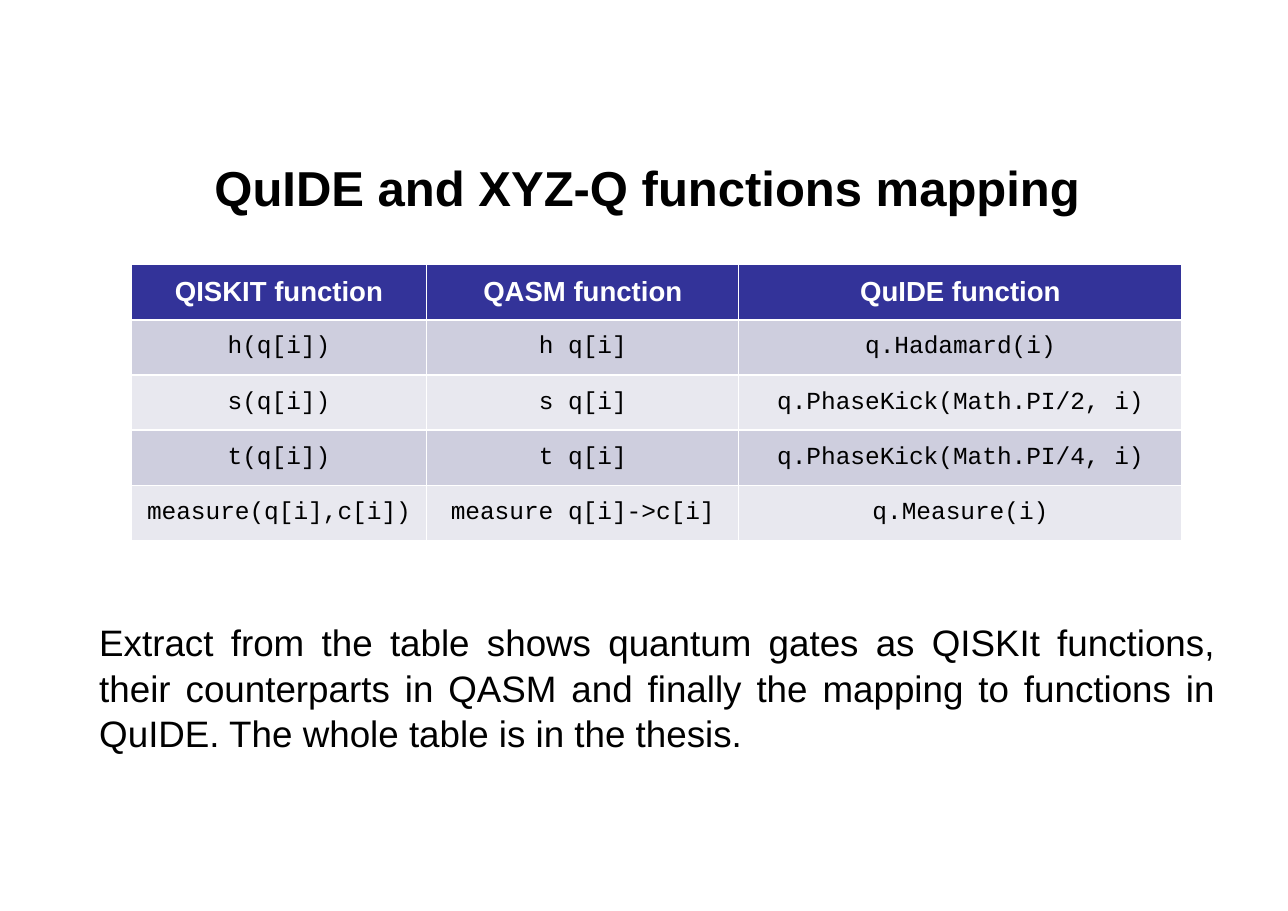
from lxml.etree import SubElement
from pptx import Presentation
from pptx.dml.color import RGBColor
from pptx.enum.text import MSO_ANCHOR, MSO_AUTO_SIZE, PP_ALIGN as Align
from pptx.oxml.ns import qn
from pptx.util import Inches, Pt

COLORS = {
    "text": "000000",
    "header_text": "FFFFFF",
    "header": "333399",
    "odd_row": "CECEDE",
    "even_row": "E8E8EF",
}


def write_text(text_frame, text, size=18, font="Arial", color="text",
               bold=False, align=Align.CENTER, line_spacing=1.0):
    paragraph = text_frame.paragraphs[0]
    paragraph.text = text
    paragraph.alignment = align
    paragraph.line_spacing = line_spacing
    paragraph.space_before = Pt(0)
    run_font = paragraph.runs[0].font
    run_font.name = font
    run_font.size = Pt(size)
    run_font.bold = bold
    run_font.color.rgb = RGBColor.from_string(COLORS[color])
    return paragraph


def place(shape, left, top, width, height, anchor):
    shape.left, shape.top = Inches(left), Inches(top)
    shape.width, shape.height = Inches(width), Inches(height)
    shape.text_frame.word_wrap = True
    shape.text_frame.auto_size = MSO_AUTO_SIZE.SHAPE_TO_FIT_TEXT
    shape.text_frame.vertical_anchor = anchor


presentation = Presentation()
presentation.slide_width = Inches(11.68)
presentation.slide_height = Inches(8.26)
slide = presentation.slides.add_slide(presentation.slide_layouts[1])

# Title
title = slide.shapes.title
place(title, 0.64, 1.36, 10.47, 0.64, MSO_ANCHOR.MIDDLE)
write_text(title.text_frame, "QuIDE and XYZ-Q functions mapping",
           size=32, bold=True, line_spacing=1.04)

# Function mapping table
rows = [
    ("QISKIT function", "QASM function", "QuIDE function"),
    ("h(q[i])", "h q[i]", "q.Hadamard(i)"),
    ("s(q[i])", "s q[i]", "q.PhaseKick(Math.PI/2, i)"),
    ("t(q[i])", "t q[i]", "q.PhaseKick(Math.PI/4, i)"),
    ("measure(q[i],c[i])", "measure q[i]->c[i]", "q.Measure(i)"),
]
column_widths = [2.68, 2.83, 4.02]
table = slide.shapes.add_table(
    len(rows), len(column_widths), Inches(1.19), Inches(2.4),
    Inches(sum(column_widths)), Inches(0.5 * len(rows))).table
for column, width in zip(table.columns, column_widths):
    column.width = Inches(width)

header_format = dict(size=18, color="header_text", bold=True)
code_format = dict(size=16, font="Courier New")
for row_index, row in enumerate(rows):
    if row_index == 0:
        fill, text_format = "header", header_format
    else:
        fill = "odd_row" if row_index % 2 else "even_row"
        text_format = code_format
    for column_index, text in enumerate(row):
        cell = table.cell(row_index, column_index)
        cell.vertical_anchor = MSO_ANCHOR.MIDDLE
        cell.fill.solid()
        cell.fill.fore_color.rgb = RGBColor.from_string(COLORS[fill])
        write_text(cell.text_frame, text, **text_format)

# Explanation below the table, without a bullet
body = slide.placeholders[1]
place(body, 0.8, 5.55, 10.32, 1.31, MSO_ANCHOR.TOP)
explanation = write_text(
    body.text_frame,
    "Extract from the table shows quantum gates as QISKIt functions, their "
    "counterparts in QASM and finally the mapping to functions in QuIDE. "
    "The whole table is in the thesis.",
    size=24, align=Align.JUSTIFY, line_spacing=1.04)
properties = explanation._p.get_or_add_pPr()
properties.set("marL", "0")
properties.set("indent", "0")
SubElement(properties, qn("a:buNone"))

presentation.save("out.pptx")
